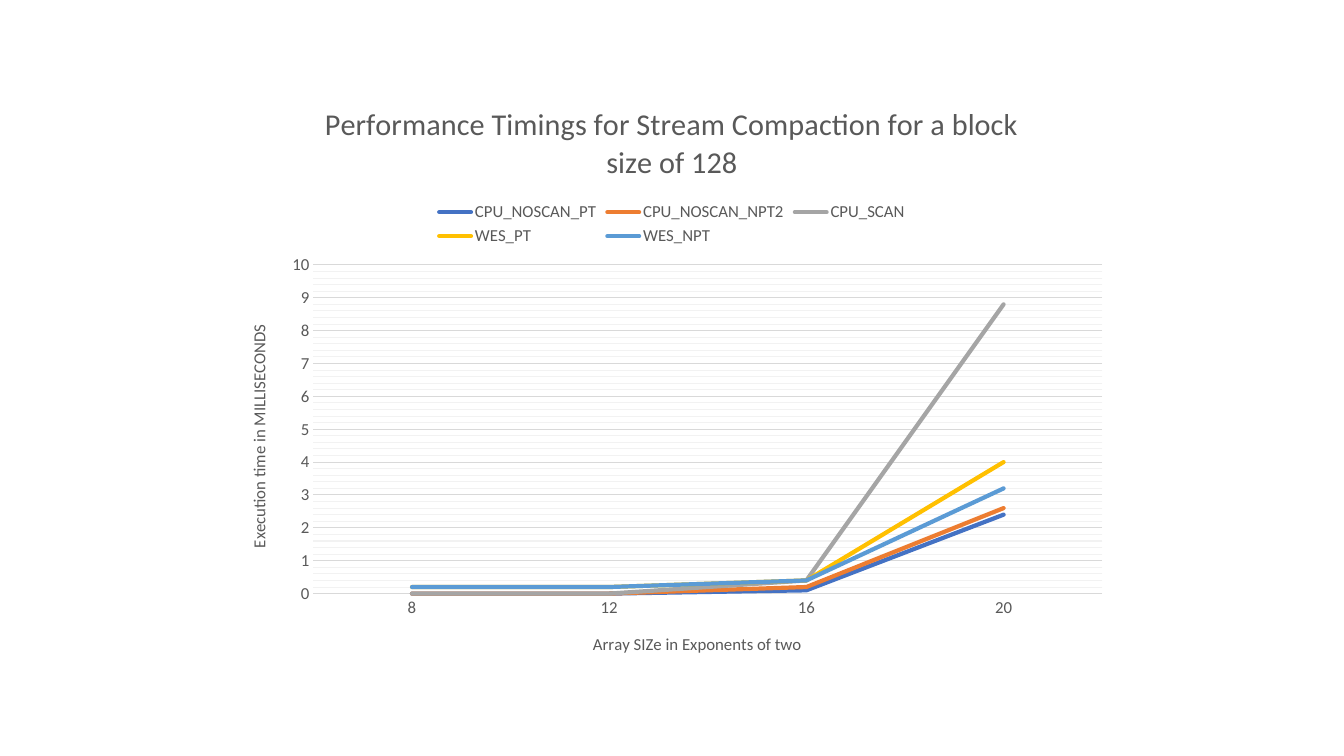
"""Build a slide with a line chart of stream compaction timings."""
from copy import deepcopy

from lxml import etree
from pptx import Presentation
from pptx.chart.data import CategoryChartData
from pptx.dml.color import RGBColor
from pptx.enum.chart import XL_CHART_TYPE as ChartType, XL_LEGEND_POSITION as LegendPosition
from pptx.enum.chart import XL_MARKER_STYLE as MarkerStyle, XL_TICK_MARK as TickMark
from pptx.oxml.ns import qn
from pptx.util import Inches, Pt

COLORS = {
    "text": "595959",
    "grid": "D9D9D9",
    "minor_grid": "F2F2F2",
    "CPU_NOSCAN_PT": "4472C4",
    "CPU_NOSCAN_NPT2": "ED7D31",
    "CPU_SCAN": "A5A5A5",
    "WES_PT": "FFC000",
    "WES_NPT": "5B9BD5",
}
TIMINGS = {
    "CPU_NOSCAN_PT": (0, 0, 0.1, 2.4),
    "CPU_NOSCAN_NPT2": (0, 0, 0.2, 2.6),
    "CPU_SCAN": (0, 0, 0.4, 8.8),
    "WES_PT": (0.2, 0.2, 0.4, 4),
    "WES_NPT": (0.2, 0.2, 0.4, 3.2),
}
PLOT_LAYOUT = {"x": 0.1, "y": 0.31, "w": 0.88, "h": 0.55}


def style_font(font, size):
    font.name = "Calibri"
    font.size = Pt(size)
    font.bold = False
    font.color.rgb = RGBColor.from_string(COLORS["text"])


def style_line(line, color, width):
    line.color.rgb = RGBColor.from_string(COLORS[color])
    line.width = Pt(width)


presentation = Presentation()
presentation.slide_width = Inches(13.33)
presentation.slide_height = Inches(7.5)
slide = presentation.slides.add_slide(presentation.slide_layouts[6])

chart_data = CategoryChartData()
chart_data.categories = ["8", "12", "16", "20"]
for name, values in TIMINGS.items():
    chart_data.add_series(name, values)
chart = slide.shapes.add_chart(
    ChartType.LINE, Inches(2.22), Inches(0.79), Inches(8.89), Inches(5.93), chart_data
).chart
style_font(chart.font, 12)

chart.has_legend = True
chart.legend.position = LegendPosition.TOP
chart.legend.include_in_layout = False
style_font(chart.legend.font, 12)

category_axis, value_axis = chart.category_axis, chart.value_axis
for titled, text, size in (
    (chart, "Performance Timings for Stream Compaction for a block size of 128", 21.6),
    (category_axis, "Array SIZe in Exponents of two", 12),
    (value_axis, "Execution time in MILLISECONDS", 12),
):
    titled.has_title = True
    title = titled.chart_title if titled is chart else titled.axis_title
    title.text_frame.text = text
    style_font(title.text_frame.paragraphs[0].font, size)

for axis in (category_axis, value_axis):
    axis.major_tick_mark = TickMark.NONE
    axis.minor_tick_mark = TickMark.NONE
    style_font(axis.tick_labels.font, 12)
style_line(category_axis.format.line, "grid", 0.75)

value_axis.minimum_scale = 0
value_axis.maximum_scale = 10
value_axis.major_unit = 1
value_axis.minor_unit = 0.2
value_axis.has_major_gridlines = True
value_axis.has_minor_gridlines = True
value_axis.format.line.fill.background()
style_line(value_axis.major_gridlines.format.line, "grid", 0.75)

axis_element = value_axis._element
major_style = axis_element.find(qn("c:majorGridlines")).find(qn("c:spPr"))
minor_style = deepcopy(major_style)
for color in minor_style.iter(qn("a:srgbClr")):
    color.set("val", COLORS["minor_grid"])
axis_element.find(qn("c:minorGridlines")).append(minor_style)

plot = chart.plots[0]
plot.vary_by_categories = False
for series in plot.series:
    series.smooth = False
    series.marker.style = MarkerStyle.NONE
    style_line(series.format.line, series.name, 3)
    series.format.line._get_or_add_ln().set("cap", "rnd")

plot_area = chart._chartSpace.find(qn("c:chart")).find(qn("c:plotArea"))
for old_layout in plot_area.findall(qn("c:layout")):
    plot_area.remove(old_layout)
layout = etree.Element(qn("c:layout"))
plot_area.insert(0, layout)
manual_layout = etree.SubElement(layout, qn("c:manualLayout"))
settings = {"layoutTarget": "inner", "xMode": "edge", "yMode": "edge", **PLOT_LAYOUT}
for tag, value in settings.items():
    etree.SubElement(manual_layout, qn(f"c:{tag}")).set("val", str(value))

presentation.save("out.pptx")
